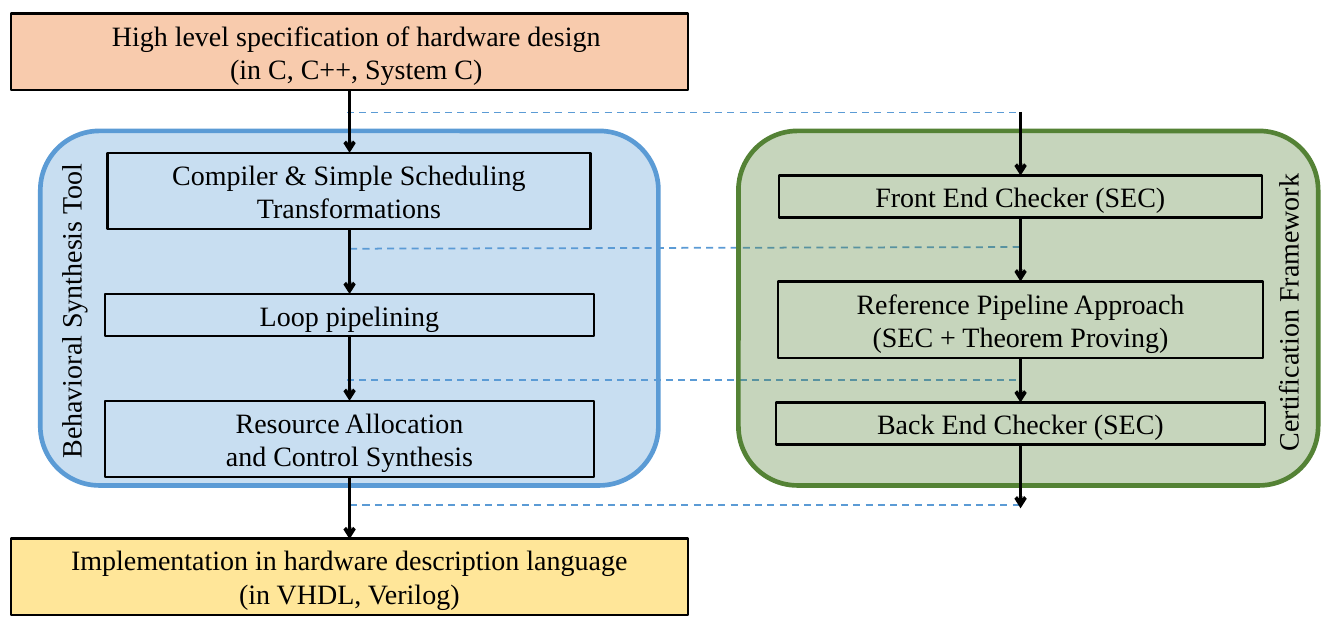
from lxml import etree
from pptx import Presentation
from pptx.dml.color import RGBColor
from pptx.enum.dml import MSO_LINE
from pptx.enum.shapes import MSO_CONNECTOR, MSO_SHAPE
from pptx.enum.text import MSO_ANCHOR, MSO_AUTO_SIZE, PP_ALIGN
from pptx.oxml.ns import qn
from pptx.util import Cm, Pt

RECT, ROUND = MSO_SHAPE.RECTANGLE, MSO_SHAPE.ROUNDED_RECTANGLE
STRAIGHT, DASH = MSO_CONNECTOR.STRAIGHT, MSO_LINE.DASH
LEFT, CENTER = PP_ALIGN.LEFT, PP_ALIGN.CENTER
MIDDLE, FIT = MSO_ANCHOR.MIDDLE, MSO_AUTO_SIZE.SHAPE_TO_FIT_TEXT

BLACK = RGBColor(0x00, 0x00, 0x00)
BLUE = RGBColor(0x5B, 0x9B, 0xD5)
GREEN = RGBColor(0x54, 0x82, 0x35)
PEACH = RGBColor(0xF8, 0xCB, 0xAD)
YELLOW = RGBColor(0xFF, 0xE6, 0x99)

ONE_LINE, TWO_LINES = 1.27, 2.31  # box heights in cm
TOOL_X, CHECK_X = 10.57, 30.86    # centre lines of the two flows

prs = Presentation()
prs.slide_width, prs.slide_height = Cm(40.64), Cm(19.05)
s = prs.slides.add_slide(prs.slide_layouts[6])


def write(sp, text, align=CENTER, size=24, font="Times New Roman", color=BLACK):
    tf = sp.text_frame
    tf.word_wrap = True
    tf.auto_size = FIT
    tf.vertical_anchor = MIDDLE
    tf.text = text
    for p in tf.paragraphs:
        p.alignment = align
        p.font.size = Pt(size)
        p.font.name = font
        p.font.color.rgb = color


def connect(x1, y1, x2, y2, color, width):
    line = s.shapes.add_connector(STRAIGHT, Cm(x1), Cm(y1), Cm(x2), Cm(y2))
    line.line.color.rgb = color
    line.line.width = Pt(width)
    etree.SubElement(line._element.spPr, qn("a:effectLst"))
    return line


# Dashed links between the two flows, behind the panels
for x1, y1, x2, y2 in [
    (10.49, 3.4, 30.86, 3.4),
    (10.59, 7.52, 30.86, 7.47),
    (10.49, 11.48, 30.78, 11.48),
    (10.59, 15.27, 30.84, 15.27),
]:
    connect(x1, y1, x2, y2, BLUE, 1.5).line.dash_style = DASH

# Translucent panels with their sideways labels
for left, width, color, label, label_left, label_top in [
    (1.22, 18.69, BLUE, "Behavioral Synthesis Tool", -2.87, 8.48),
    (22.33, 17.53, GREEN, "Certification Framework", 33.93, 8.26),
]:
    sp = s.shapes.add_shape(ROUND, Cm(left), Cm(3.96), Cm(width), Cm(10.72))
    sp.shadow.inherit = False
    sp.fill.solid()
    sp.fill.fore_color.rgb = color
    rgb = sp._element.spPr.find(qn("a:solidFill")).find(qn("a:srgbClr"))
    etree.SubElement(rgb, qn("a:alpha"), val="33000")
    sp.line.color.rgb = color
    sp.line.width = Pt(4)
    tb = s.shapes.add_textbox(Cm(label_left), Cm(label_top), Cm(10), Cm(ONE_LINE))
    tb.rotation = 270
    write(tb, label, align=LEFT)

# Steps: left, top, width, height, fill, text
steps = [
    (0.33, 0.41, 20.47, TWO_LINES, PEACH,
     "High level specification of hardware design\n(in C, C++, System C)"),
    (0.33, 16.28, 20.47, TWO_LINES, YELLOW,
     "Implementation in hardware description language\n(in VHDL, Verilog)"),
    (3.25, 4.62, 14.61, TWO_LINES, None,
     "Compiler & Simple Scheduling Transformations"),
    (3.18, 8.89, 14.78, ONE_LINE, None, "Loop pipelining"),
    (3.18, 12.12, 14.78, TWO_LINES, None,
     "Resource Allocation\nand Control Synthesis"),
    (23.55, 5.31, 14.61, ONE_LINE, None, "Front End Checker (SEC)"),
    (23.52, 8.51, 14.68, TWO_LINES, None,
     "Reference Pipeline Approach\n(SEC + Theorem Proving)"),
    (23.47, 12.17, 14.78, ONE_LINE, None, "Back End Checker (SEC)"),
]
for left, top, width, height, fill, text in steps:
    sp = s.shapes.add_shape(RECT, Cm(left), Cm(top), Cm(width), Cm(height))
    sp.shadow.inherit = False
    if fill is None:
        sp.fill.background()
    else:
        sp.fill.solid()
        sp.fill.fore_color.rgb = fill
    sp.line.color.rgb = BLACK
    sp.line.width = Pt(2)
    write(sp, text)
    if fill == PEACH:
        sp.text_frame.margin_left = Cm(0.67)  # text sits right of centre

# Arrows down each flow
flows = [
    (TOOL_X, [(2.72, 4.62), (6.93, 8.89), (10.17, 12.12), (14.4, 16.3)]),
    (CHECK_X, [(3.38, 5.31), (6.6, 8.51), (10.82, 12.17), (13.46, 15.37)]),
]
for x, spans in flows:
    for y1, y2 in spans:
        arrow = connect(x, y1, x, y2, BLACK, 3)
        etree.SubElement(arrow.line._get_or_add_ln(), qn("a:tailEnd"), type="arrow")

prs.save("out.pptx")
